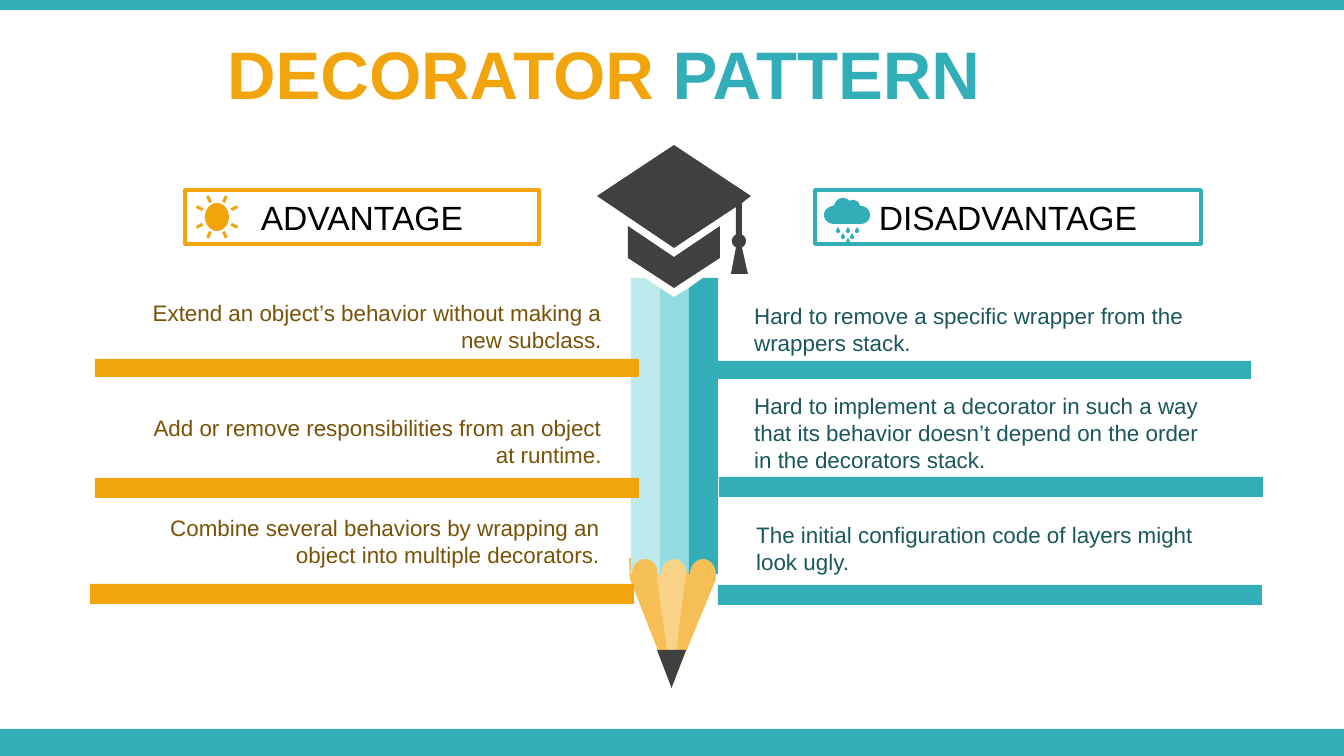
from math import cos, radians, sin

from pptx import Presentation
from pptx.dml.color import RGBColor as Rgb
from pptx.enum.shapes import MSO_SHAPE as Kind
from pptx.enum.text import MSO_ANCHOR as Anchor, MSO_AUTO_SIZE as Fit, PP_ALIGN as Align
from pptx.util import Pt

SCALE = 914400 / 134.4
FONT = "Arial"
HUES = {
    "teal": "32AEB8", "gold": "F2A40D", "dark": "404040",
    "wood": "F6BF56", "core": "F8D286", "pale": "BEEAED", "mid": "92DCE2",
    "brown": "795207", "deep": "19575C", "white": "FFFFFF", "black": "000000",
}


def px(n):
    return round(n * SCALE)


def hue(name):
    return Rgb.from_string(HUES[name])


def paint(shape, fill, edge=None):
    shape.shadow.inherit = False
    shape.fill.solid()
    shape.fill.fore_color.rgb = hue(fill)
    if edge:
        shape.line.color.rgb = hue(edge)
        shape.line.width = Pt(2)
    else:
        shape.line.fill.background()
    return shape


def block(slide, box, fill, edge=None, kind=Kind.RECTANGLE):
    shape = slide.shapes.add_shape(kind, *map(px, box))
    return paint(shape, fill, edge)


def shade(slide, loops, fill):
    loops = [[(px(x), px(y)) for x, y in loop] for loop in loops]
    pen = slide.shapes.build_freeform(*loops[0][0])
    pen.add_line_segments(loops[0][1:])
    for loop in loops[1:]:
        pen.move_to(*loop[0])
        pen.add_line_segments(loop[1:])
    return paint(pen.convert_to_shape(), fill)


def arc(x, y, wide, high, start, end, steps=16):
    turns = [radians(start + (end - start) * i / steps) for i in range(steps + 1)]
    return [(x + wide * cos(t), y + high * sin(t)) for t in turns]


def write(para, text, size, color, bold=False):
    run = para.add_run()
    run.text = text
    run.font.name = FONT
    run.font.size = Pt(size)
    run.font.bold = bold
    run.font.color.rgb = hue(color)


def note(slide, box, text, color, align):
    frame = slide.shapes.add_textbox(*map(px, box)).text_frame
    frame.word_wrap = True
    para = frame.paragraphs[0]
    para.alignment = align
    write(para, text, 12, color)


def label(slide, box, text, edge):
    frame = block(slide, box, "white", edge).text_frame
    frame.vertical_anchor = Anchor.TOP
    para = frame.paragraphs[0]
    para.alignment = Align.CENTER
    write(para, text, 18, "black")


def head(slide):
    title = slide.shapes.title
    title.left, title.top, title.width, title.height = map(px, (-59, 30, 1344, 85))
    frame = title.text_frame
    frame.auto_size = Fit.NONE
    frame.vertical_anchor = Anchor.MIDDLE
    para = frame.paragraphs[0]
    para.alignment = Align.CENTER
    write(para, "DECORATOR ", 36, "gold", True)
    write(para, "PATTERN ", 36, "teal", True)


def pencil(slide):
    shade(slide, [[(629, 558), (716, 559), (716, 579), (672, 686), (630, 579)]], "wood")
    shade(slide, [[(657, 558), (686, 558), (686, 573), (672, 686), (657, 578)]], "core")
    tops = [
        ("pale", [(631, 278), (645, 278), (660, 288)]),
        ("mid", [(660, 288), (674, 297), (689, 288)]),
        ("teal", [(689, 288), (703, 278), (718, 278)]),
    ]
    for i, (color, top) in enumerate(tops):
        left = 631 + 29 * i
        curve = arc(left + 14, 574, 13, 15, 0, -180)
        shade(slide, [top + [(left + 29, 574)] + curve + [(left, 574)]], color)
    tip = block(slide, (657, 650, 29, 38), "dark", kind=Kind.ISOSCELES_TRIANGLE)
    tip.rotation = 180


def cap(slide):
    band = [(628, 226), (674, 257), (720, 226), (720, 258), (674, 288), (628, 258)]
    board = [(674, 145), (751, 196), (742, 203)]
    board += arc(739, 241, 7, 7, -65, 65) + [(748, 274), (731, 274)]
    board += arc(739, 241, 7, 7, 115, 245) + [(736, 207), (674, 248), (597, 196)]
    shade(slide, [band, board], "dark")


def cloud(slide):
    puff = arc(834, 215, 10, 9, 90, 250) + arc(843, 207, 9, 9, 190, 325)
    puff += arc(853, 207, 7, 7, 235, 350) + arc(861, 215, 9, 9, 275, 450)
    tips = [(838, 227), (848, 227), (857, 227), (843, 233), (852, 233), (848, 238)]
    drops = [[(x, y)] + arc(x, y + 4, 2, 2, -30, 210) for x, y in tips]
    shade(slide, [puff] + drops, "teal")


def sun(slide):
    loops = [arc(217, 217, 12, 14, 0, 360, 32)]
    for turn in (27, 66, 114, 153, 207, 246, 294, 333):
        c, s = cos(radians(turn)), sin(radians(turn))
        ends = [(16, -1.5), (23, -1.5), (23, 1.5), (16, 1.5)]
        loops.append([(217 + r * c - w * s, 217 + r * s + w * c) for r, w in ends])
    shade(slide, loops, "gold")


def main():
    deck = Presentation()
    deck.slide_width, deck.slide_height = px(1344), px(756)
    slide = deck.slides.add_slide(deck.slide_layouts[5])
    block(slide, (0, 729, 1344, 27), "teal")
    block(slide, (0, 0, 1344, 10), "teal")
    head(slide)
    pencil(slide)
    cap(slide)

    sides = [
        ("gold", "brown", Align.RIGHT, [
            ((95, 359, 544, 18), (134, 293, 481, 67),
             "Extend an object’s behavior without making a new subclass."),
            ((95, 478, 544, 20), (125, 408, 490, 67),
             "Add or remove responsibilities from an object at runtime."),
            ((90, 584, 544, 20), (126, 508, 487, 67),
             "Combine several behaviors by wrapping an object into multiple decorators."),
        ]),
        ("teal", "deep", Align.LEFT, [
            ((707, 361, 544, 18), (741, 296, 481, 67),
             "Hard to remove a specific wrapper from the wrappers stack."),
            ((719, 477, 544, 20), (741, 386, 490, 95),
             "Hard to implement a decorator in such a way that its behavior "
             "doesn’t depend on the order in the decorators stack."),
            ((718, 585, 544, 20), (743, 515, 487, 95),
             "The initial configuration code of layers might look ugly."),
        ]),
    ]
    for bar, ink, align, rows in sides:
        for strip, box, text in rows:
            block(slide, strip, bar)
            note(slide, box, text, ink, align)

    label(slide, (185, 190, 354, 54), "ADVANTAGE", "gold")
    label(slide, (815, 190, 386, 54), "DISADVANTAGE", "teal")
    sun(slide)
    cloud(slide)
    deck.save("out.pptx")


if __name__ == "__main__":
    main()
